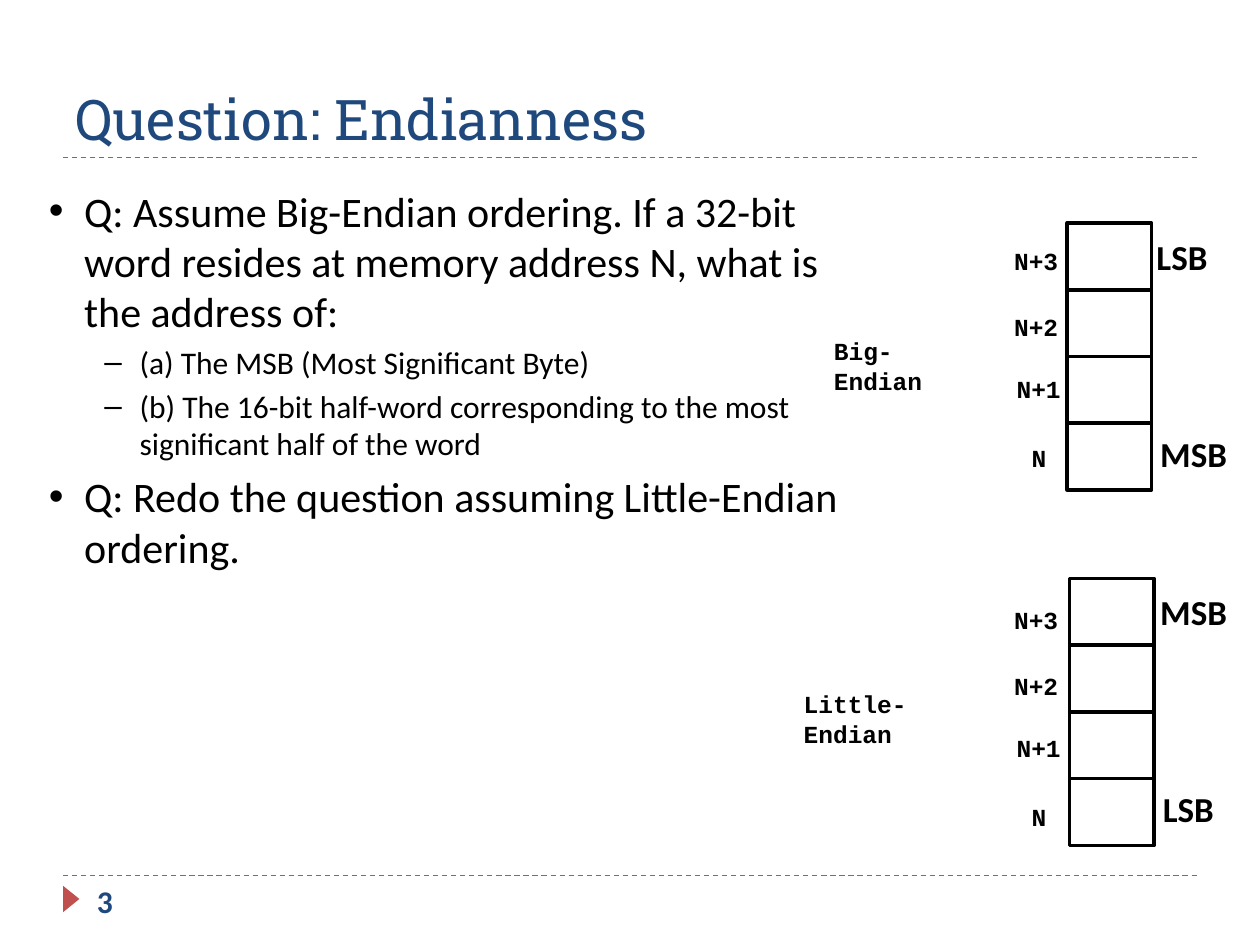
from dataclasses import dataclass

from lxml import etree
from pptx import Presentation
from pptx.dml.color import RGBColor
from pptx.enum.dml import MSO_LINE
from pptx.enum.shapes import MSO_CONNECTOR, MSO_SHAPE
from pptx.enum.text import MSO_ANCHOR
from pptx.oxml.ns import qn
from pptx.util import Inches, Pt


@dataclass(frozen=True)
class Theme:
    navy: RGBColor = RGBColor(0x1F, 0x49, 0x7D)
    red: RGBColor = RGBColor(0xC0, 0x50, 0x4D)
    black: RGBColor = RGBColor(0, 0, 0)
    white: RGBColor = RGBColor(255, 255, 255)
    head: str = "Roboto Slab"
    body: str = "Calibri"
    mono: str = "Courier New"
    title_pt: int = 32
    question_pt: int = 24
    side_pt: int = 20
    small_pt: int = 18
    mono_pt: int = 14


T = Theme()
CELL_W, CELL_H = 0.67, 0.53
# Address labels from the top down: text, x and y offset, width
ADDRESSES = [("N+3", 0, 0, 0.56), ("N+2", 0, 0.53, 0.67),
             ("N+1", 0.02, 1.02, 0.67), ("N", 0.14, 1.57, 0.4)]
# Questions: text, bullet, text indent, size
QUESTIONS = [
    ("Q: Assume Big-Endian ordering. If a 32-bit word resides at memory "
     "address N, what is the address of:", "•", 0.28, T.question_pt),
    ("(a) The MSB (Most Significant Byte)", "–", 0.72, T.small_pt),
    ("(b) The 16-bit half-word corresponding to the most significant half "
     "of the word", "–", 0.72, T.small_pt),
    ("Q: Redo the question assuming Little-Endian ordering.", "•", 0.28,
     T.question_pt),
]


def style(p, text, size, font=T.body, color=T.black, bold=False):
    r = p.add_run()
    r.text = text
    f = r.font
    f.size, f.name, f.bold = Pt(size), font, bold
    f.color.rgb = color


def add_frame(s, box, anchor=MSO_ANCHOR.TOP):
    tf = s.shapes.add_textbox(*map(Inches, box)).text_frame
    tf.word_wrap = True
    tf.vertical_anchor = anchor
    return tf


def add_text(s, box, text, size, anchor=MSO_ANCHOR.TOP, **fmt):
    style(add_frame(s, box, anchor).paragraphs[0], text, size, **fmt)


def add_bullet(p, char, indent, hang=0.28):
    pPr = p._p.get_or_add_pPr()
    pPr.set("marL", str(Inches(indent)))
    pPr.set("indent", str(-Inches(hang)))
    etree.SubElement(pPr, qn("a:buFont")).set("typeface", "Arial")
    etree.SubElement(pPr, qn("a:buChar")).set("char", char)


def add_rule(s, x, y, w):
    line = s.shapes.add_connector(MSO_CONNECTOR.STRAIGHT, Inches(x), Inches(y),
                                  Inches(x + w), Inches(y))
    line.line.color.rgb = T.red
    line.line.width = Pt(0.75)
    line.line.dash_style = MSO_LINE.DASH
    etree.SubElement(line._element.spPr, qn("a:effectLst"))


def header(s, x, y, w, h):
    add_rule(s, x, y + h, w)
    add_text(s, (x, y, w, h), "Question: Endianness", T.title_pt,
             MSO_ANCHOR.BOTTOM, font=T.head, color=T.navy)


def footer(s, x, y, w, number):
    add_rule(s, x, y, w)
    mark = s.shapes.add_shape(MSO_SHAPE.ISOSCELES_TRIANGLE, Inches(x - 0.04),
                              Inches(y + 0.12), Inches(0.21), Inches(0.13))
    mark.rotation = 90
    mark.shadow.inherit = False
    mark.fill.solid()
    mark.fill.fore_color.rgb = T.red
    mark.line.fill.background()
    add_text(s, (x + 0.17, y, 2.17, 0.4), number, T.small_pt,
             color=T.navy, bold=True)


def questions(s, box):
    tf = add_frame(s, box)
    for i, (text, char, indent, size) in enumerate(QUESTIONS):
        p = tf.add_paragraph() if i else tf.paragraphs[0]
        if i:
            p.space_before = Pt(size * 0.2)
        add_bullet(p, char, indent)
        style(p, text, size)


def memory(s, x, y, name, name_box, address_at, sides):
    """Four stacked bytes at x, y with the order's name, addresses and ends."""
    group = s.shapes.add_group_shape()
    for i in range(len(ADDRESSES)):
        cell = group.shapes.add_shape(
            MSO_SHAPE.RECTANGLE, Inches(x), Inches(y + i * CELL_H),
            Inches(CELL_W), Inches(CELL_H))
        cell.shadow.inherit = False
        cell.fill.solid()
        cell.fill.fore_color.rgb = T.white
        cell.line.color.rgb = T.black
        cell.line.width = Pt(2)

    # Order name and byte addresses
    add_text(s, name_box, name, T.mono_pt, font=T.mono, bold=True)
    left, top = address_at
    for text, dx, dy, w in ADDRESSES:
        add_text(s, (left + dx, top + dy, w, 0.4), text, T.mono_pt,
                 font=T.mono, bold=True)

    # Most and least significant ends
    for (text, side_x), dy in zip(sides, (0.05, 1.61)):
        add_text(s, (side_x, y + dy, 0.79, 0.44), text, T.side_pt, bold=True)


def main():
    prs = Presentation()
    prs.slide_width, prs.slide_height = Inches(10), Inches(7.5)
    s = prs.slides.add_slide(prs.slide_layouts[6])
    header(s, 0.5, 0.25, 9, 1)
    footer(s, 0.5, 6.95, 9, "3")
    questions(s, (0.29, 1.42, 6.46, 5))
    memory(s, 8.47, 1.77, "Big-Endian", (6.52, 2.62, 1.26, 0.4),
           (7.95, 1.9), [("LSB", 9.08), ("MSB", 9.11)])
    memory(s, 8.49, 4.59, "Little-Endian", (6.28, 5.42, 1.48, 0.4),
           (7.95, 4.75), [("MSB", 9.11), ("LSB", 9.13)])
    prs.save("out.pptx")


if __name__ == "__main__":
    main()
